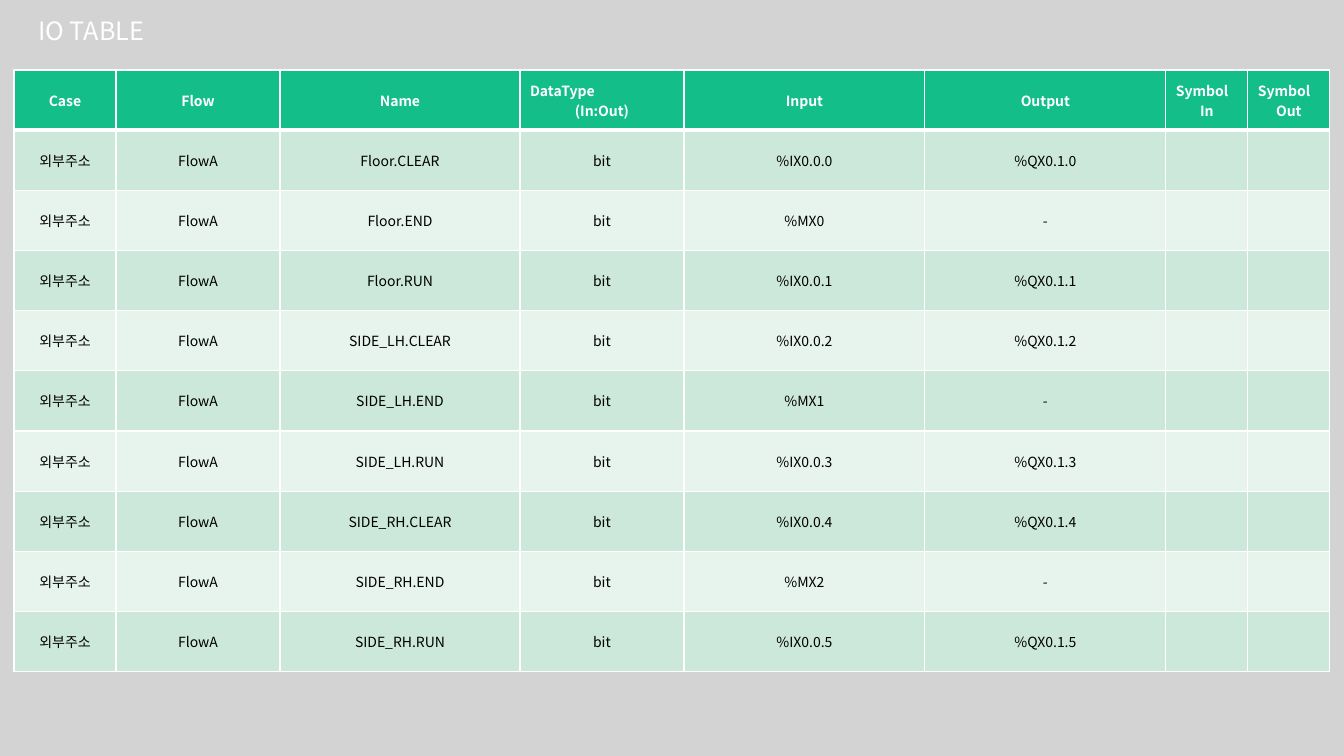
from lxml import etree
from pptx import Presentation
from pptx import util as u
from pptx.dml.color import RGBColor
from pptx.enum import text
from pptx.oxml.ns import qn

THEME = {
    "font": "Noto Sans CJK KR",
    "background": "D3D3D3",
    "header": "13BE89",
    "bands": ["CCE8DA", "E7F4ED"],
    "light": "FFFFFF",
    "dark": "000000",
    "title_size": 18,
    "cell_size": 10,
}
SCALE = 914400 / 100.8  # EMU in one px


def px(length):
    return u.Emu(round(length * SCALE))


def write(paragraph, words, align, size, color, bold=False):
    paragraph.alignment = align
    run = paragraph.add_run()
    run.text = words
    style = {"name": THEME["font"], "size": u.Pt(size), "bold": bold}
    for key, value in style.items():
        setattr(run.font, key, value)
    run.font.color.rgb = RGBColor.from_string(color)
    east_asian = etree.SubElement(run._r.get_or_add_rPr(), qn("a:ea"))
    east_asian.set("typeface", THEME["font"])


LEFT, CENTER = text.PP_ALIGN.LEFT, text.PP_ALIGN.CENTER

# Slide and background
deck = Presentation()
deck.slide_width, deck.slide_height = px(1344), px(756)
slide = deck.slides.add_slide(deck.slide_layouts[5])
slide.background.fill.solid()
slide.background.fill.fore_color.rgb = RGBColor.from_string(THEME["background"])

# Title
title = slide.shapes.title
title.left, title.top, title.width, title.height = px(28), px(14), px(1260), px(42)
title_format = {
    "vertical_anchor": text.MSO_ANCHOR.TOP,
    "word_wrap": True,
    "auto_size": text.MSO_AUTO_SIZE.SHAPE_TO_FIT_TEXT,
}
for key, value in title_format.items():
    setattr(title.text_frame, key, value)
heading = title.text_frame.paragraphs[0]
heading.line_spacing = 0.9
write(heading, "IO TABLE", LEFT, THEME["title_size"], THEME["light"])

# Signals: name, input, output
header = ["Case", "Flow", "Name", "DataType\n(In:Out)", "Input", "Output",
          "Symbol\nIn", "Symbol\nOut"]
signals = [
    ("Floor.CLEAR", "%IX0.0.0", "%QX0.1.0"),
    ("Floor.END", "%MX0", "-"),
    ("Floor.RUN", "%IX0.0.1", "%QX0.1.1"),
    ("SIDE_LH.CLEAR", "%IX0.0.2", "%QX0.1.2"),
    ("SIDE_LH.END", "%MX1", "-"),
    ("SIDE_LH.RUN", "%IX0.0.3", "%QX0.1.3"),
    ("SIDE_RH.CLEAR", "%IX0.0.4", "%QX0.1.4"),
    ("SIDE_RH.END", "%MX2", "-"),
    ("SIDE_RH.RUN", "%IX0.0.5", "%QX0.1.5"),
]
rows = [header] + [
    ["외부주소", "FlowA", name, "bit", source, target, "", ""]
    for name, source, target in signals
]

# Table grid
column_widths = [102, 164, 240, 164, 241, 241, 82, 82]
table_height = px(602)
io_table = slide.shapes.add_table(
    len(rows), len(header), px(14), px(70), px(sum(column_widths)), table_height
).table
io_table.horz_banding = False
for column, width in zip(io_table.columns, column_widths):
    column.width = px(width)
for row in io_table.rows:
    row.height = table_height // len(rows)

# Cells
for r, values in enumerate(rows):
    is_header = r == 0
    fill = THEME["header"] if is_header else THEME["bands"][(r - 1) % 2]
    color = THEME["light"] if is_header else THEME["dark"]
    # The line under the header is thicker than the rest
    borders = {"L": 1, "R": 1, "T": 3 if r == 1 else 1, "B": 3 if is_header else 1}
    for c, value in enumerate(values):
        cell = io_table.cell(r, c)
        cell.vertical_anchor = text.MSO_ANCHOR.MIDDLE
        for side, points in borders.items():
            line = etree.SubElement(
                cell._tc.get_or_add_tcPr(), qn(f"a:ln{side}"), w=str(u.Pt(points))
            )
            paint = etree.SubElement(line, qn("a:solidFill"))
            etree.SubElement(paint, qn("a:srgbClr"), val=THEME["light"])
        cell.fill.solid()
        cell.fill.fore_color.rgb = RGBColor.from_string(fill)

        # In a two-line heading the first line sits left, the last is centred
        lines = value.split("\n") if value else []
        for i, words in enumerate(lines):
            frame = cell.text_frame
            paragraph = frame.add_paragraph() if i else frame.paragraphs[0]
            align = CENTER if i == len(lines) - 1 else LEFT
            write(paragraph, words, align, THEME["cell_size"], color, is_header)

deck.save("out.pptx")
